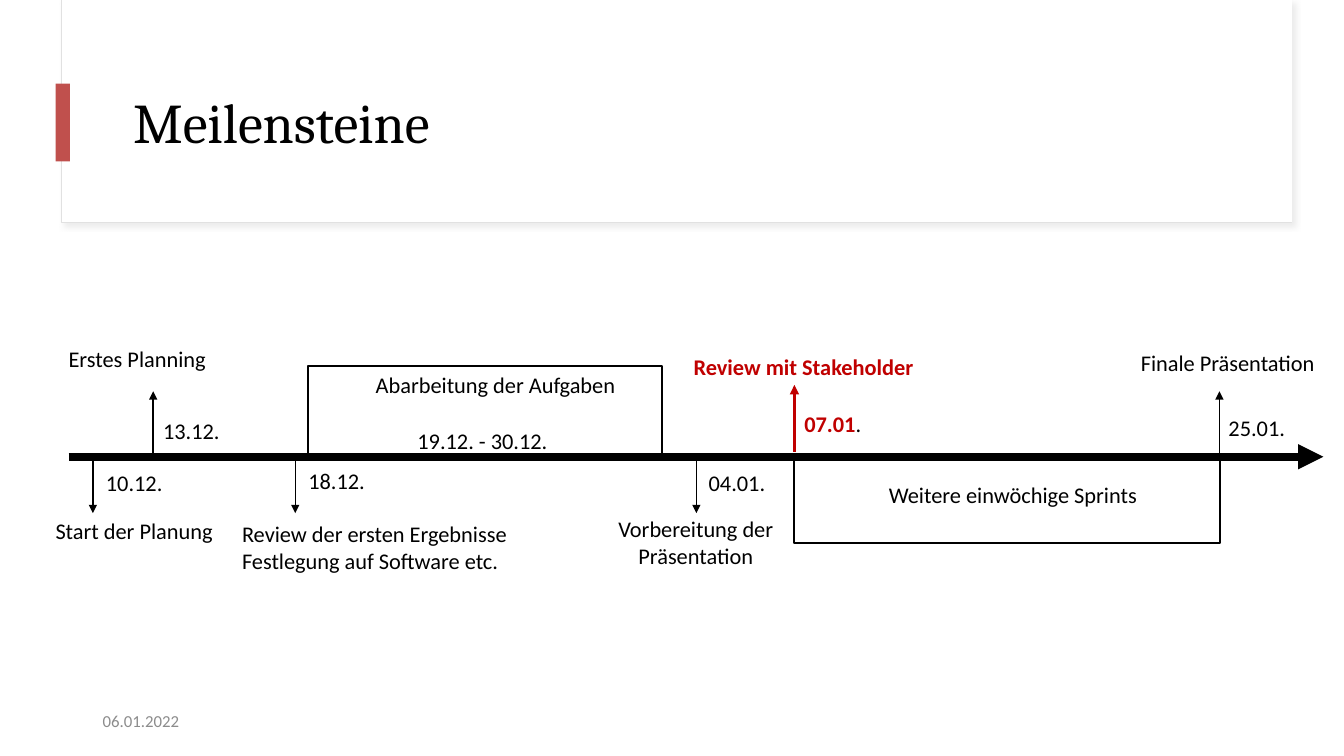
"""Build the milestone timeline slide."""
from dataclasses import dataclass

from lxml.etree import SubElement
from pptx import Presentation
from pptx.dml.color import RGBColor
from pptx.enum.shapes import MSO_CONNECTOR, MSO_SHAPE
from pptx.enum.text import MSO_ANCHOR, MSO_AUTO_SIZE, PP_ALIGN
from pptx.oxml.ns import qn
from pptx.util import Cm, Pt

BLACK, WHITE, RED = "000000", "FFFFFF", "C00000"
AXIS, HIGH, LOW = 11.51, 9.86, 12.93


@dataclass
class Run:
    text: str
    color: str = BLACK
    bold: bool = False


@dataclass
class Label:
    left: float
    top: float
    width: float
    rows: list[list[Run]]
    lines: int = 1
    wrap: bool = False


@dataclass
class Arrow:
    start: tuple[float, float]
    end: tuple[float, float]
    weight: float = 1
    color: str = BLACK


@dataclass
class Box:
    left: float
    top: float
    width: float
    height: float
    fill: str | None = None
    line: str | None = None
    weight: float = 1.5
    shade: bool = False


def note(left: float, top: float, width: float, *texts: str) -> Label:
    return Label(left, top, width, [[Run(text)] for text in texts], len(texts))


def date(left: float, top: float, text: str) -> Label:
    return note(left, top, 1.45, text)


def hue(code: str) -> RGBColor:
    return RGBColor.from_string(code)


def add_run(par, run: Run, size: float, font: str = "Calibri") -> None:
    part = par.add_run()
    part.text = run.text
    part.font.name, part.font.size = font, Pt(size)
    part.font.bold = run.bold
    part.font.color.rgb = hue(run.color)


def add_label(slide, item: Label) -> None:
    height = 0.81 + 0.69 * (item.lines - 1)
    box = slide.shapes.add_textbox(Cm(item.left), Cm(item.top), Cm(item.width), Cm(height))
    frame = box.text_frame
    frame.margin_left = frame.margin_right = frame.margin_top = 0
    frame.margin_bottom = Cm(0.13)
    frame.word_wrap = item.wrap
    frame.auto_size = MSO_AUTO_SIZE.SHAPE_TO_FIT_TEXT
    for num, row in enumerate(item.rows):
        par = frame.add_paragraph() if num else frame.paragraphs[0]
        par.alignment = PP_ALIGN.CENTER if item.wrap else PP_ALIGN.LEFT
        for run in row:
            add_run(par, run, 16)


def add_arrow(slide, item: Arrow) -> None:
    ends = [Cm(num) for num in (*item.start, *item.end)]
    link = slide.shapes.add_connector(MSO_CONNECTOR.STRAIGHT, *ends)
    link.line.width = Pt(item.weight)
    link.line.color.rgb = hue(item.color)
    SubElement(link.line._get_or_add_ln(), qn("a:tailEnd"), type="triangle")
    SubElement(link._element.spPr, qn("a:effectLst"))


def add_shade(shape) -> None:
    effects = shape._element.spPr.find(qn("a:effectLst"))
    shade = SubElement(effects, qn("a:outerShdw"), blurRad=str(Pt(4)),
                       dist=str(Pt(3)), dir="2700000", algn="tl", rotWithShape="0")
    color = SubElement(shade, qn("a:srgbClr"), val="D9D9D9")
    SubElement(color, qn("a:alpha"), val="50000")


def add_box(slide, item: Box) -> None:
    sides = [Cm(num) for num in (item.left, item.top, item.width, item.height)]
    shape = slide.shapes.add_shape(MSO_SHAPE.RECTANGLE, *sides)
    shape.shadow.inherit = False
    if item.fill:
        shape.fill.solid()
        shape.fill.fore_color.rgb = hue(item.fill)
    else:
        shape.fill.background()
    if item.line:
        shape.line.color.rgb = hue(item.line)
        shape.line.width = Pt(item.weight)
    else:
        shape.line.fill.background()
    if item.shade:
        add_shade(shape)


def add_title(slide, text: str) -> None:
    title = slide.shapes.title
    title.left, title.top, title.width, title.height = Cm(3.1), Cm(1.52), Cm(23.93), Cm(3.28)
    frame = title.text_frame
    frame.word_wrap = True
    frame.vertical_anchor = MSO_ANCHOR.MIDDLE
    par = frame.paragraphs[0]
    par.alignment, par.line_spacing = PP_ALIGN.LEFT, 0.9
    add_run(par, Run(text), 40, "Cambria")
    tree = slide.shapes._spTree
    tree.remove(title._element)
    tree.append(title._element)


def add_stamp(slide, text: str) -> None:
    box = slide.shapes.add_textbox(Cm(2.34), Cm(17.65), Cm(7.62), Cm(1.02))
    box.text_frame.word_wrap = True
    box.text_frame.vertical_anchor = MSO_ANCHOR.MIDDLE
    add_run(box.text_frame.paragraphs[0], Run(text, "8C8C8C"), 12)


HEADER = [
    Box(1.55, 0, 31.01, 5.61, WHITE, "E1E1E1", 0.75, True),
    Box(1.57, 0, 30.99, 5.59, WHITE),
]
ACCENT = Box(1.4, 2.11, 0.36, 1.96, "C0504D")
SPANS = [Box(7.77, 9.22, 8.92, 2.29, line=BLACK), Box(20.02, 11.58, 10.72, 2.11, line=BLACK)]
STEPS = [(2.34, LOW), (3.86, HIGH), (7.44, LOW), (17.55, LOW), (30.73, HIGH)]
ARROWS = [
    Arrow((1.73, AXIS), (33.35, AXIS), 6),
    *(Arrow((left, AXIS), (left, tip)) for left, tip in STEPS),
    Arrow((20.02, 11.38), (20.02, 9.7), 2.25, RED),
]
LABELS = [
    note(1.4, 13.03, 4.01, "Start der Planung"),
    date(2.67, 11.81, "10.12."),
    date(4.11, 10.52, "13.12."),
    note(1.73, 8.71, 3.51, "Erstes Planning"),
    date(7.77, 11.76, "18.12."),
    note(6.1, 13.11, 6.78, "Review der ersten Ergebnisse", "Festlegung auf Software etc."),
    note(10.52, 10.77, 3.33, "19.12. - 30.12."),
    note(9.47, 9.35, 6.1, "Abarbeitung der Aufgaben"),
    Label(15.06, 12.98, 4.95, [[Run("Vorbereitung der Präsentation")]], 2, True),
    date(17.86, 11.81, "04.01."),
    Label(17.48, 8.89, 5.59, [[Run("Review mit Stakeholder", RED, True)]]),
    Label(20.27, 10.34, 1.45, [[Run("07.01", RED, True), Run(".")]]),
    note(28.75, 8.81, 4.45, "Finale Präsentation"),
    date(30.96, 10.44, "25.01."),
    note(22.4, 12.12, 6.32, "Weitere einwöchige Sprints"),
]


def main() -> None:
    deck = Presentation()
    deck.slide_width, deck.slide_height = Cm(33.87), Cm(19.05)
    slide = deck.slides.add_slide(deck.slide_layouts[5])
    for box in HEADER:
        add_box(slide, box)
    add_title(slide, "Meilensteine")
    add_box(slide, ACCENT)
    add_stamp(slide, "06.01.2022")
    for span in SPANS:
        add_box(slide, span)
    for arrow in ARROWS:
        add_arrow(slide, arrow)
    for label in LABELS:
        add_label(slide, label)
    deck.save("out.pptx")


if __name__ == "__main__":
    main()
